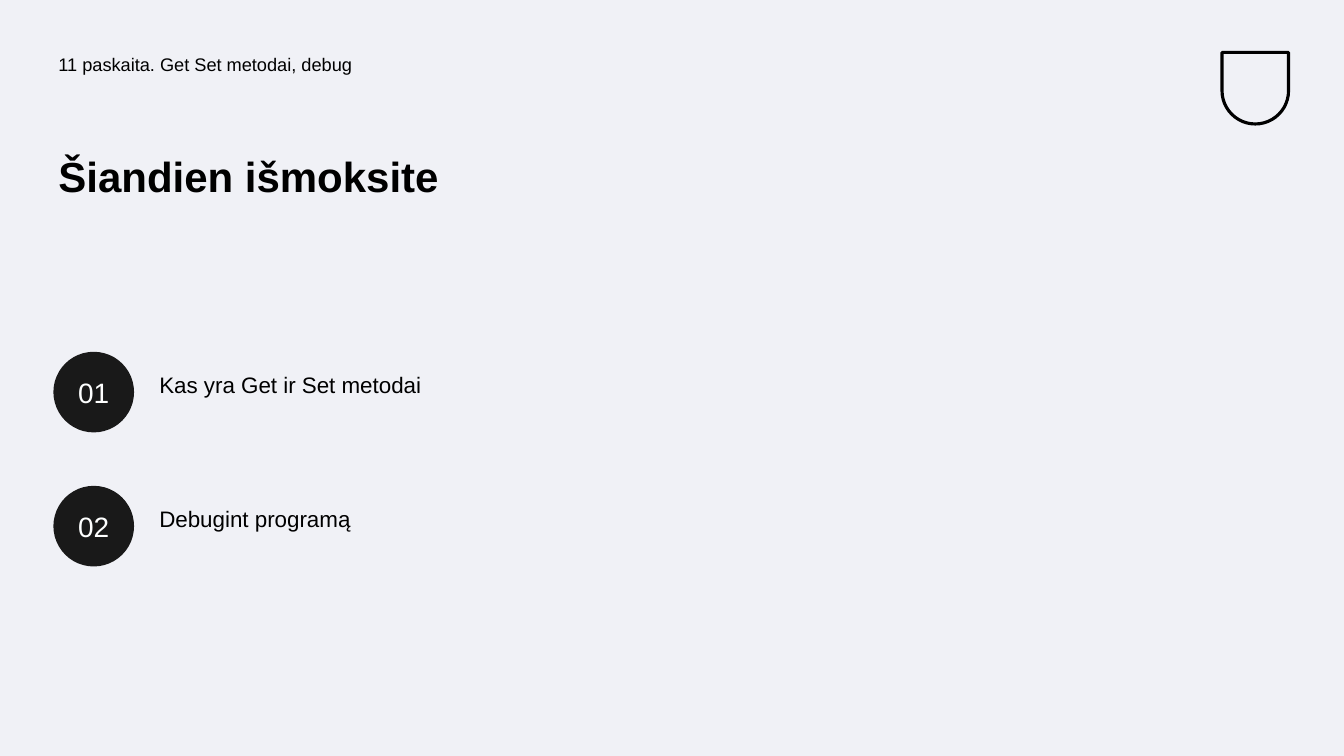
from pptx import Presentation
from pptx.dml.color import RGBColor
from pptx.enum.shapes import MSO_SHAPE
from pptx.enum.text import MSO_ANCHOR, MSO_AUTO_SIZE, PP_ALIGN
from pptx.util import Inches, Pt

OVAL, SHIELD = MSO_SHAPE.OVAL, MSO_SHAPE.ROUND_2_SAME_RECTANGLE
TOP, MIDDLE = MSO_ANCHOR.TOP, MSO_ANCHOR.MIDDLE
LEFT, CENTER = PP_ALIGN.LEFT, PP_ALIGN.CENTER
NO_FIT = MSO_AUTO_SIZE.NONE

BACKGROUND = RGBColor(0xF0, 0xF1, 0xF6)
BLACK = RGBColor(0x00, 0x00, 0x00)
DISC = RGBColor(0x19, 0x19, 0x19)
WHITE = RGBColor(0xFE, 0xFF, 0xFF)

FONT = "Arial"
MARGIN = 0.53
DISC_SIZE = 0.8
ROW_TOP, ROW_PITCH = 3.49, 1.33
TOPICS = ["Kas yra Get\u00a0ir\u00a0Set metodai".replace("\u00a0", " "), "Debugint programą"]


def place(sp, left, top, width, height):
    """Move a shape to a box given in inches."""
    sp.left, sp.top = Inches(left), Inches(top)
    sp.width, sp.height = Inches(width), Inches(height)


def write(sp, text, size, color=BLACK, bold=False, align=LEFT, anchor=TOP, spacing=0.9, before=0):
    """Fill a shape with one formatted paragraph."""
    tf = sp.text_frame
    tf.word_wrap, tf.auto_size, tf.vertical_anchor = True, NO_FIT, anchor
    tf.margin_left = tf.margin_right = tf.margin_top = tf.margin_bottom = Inches(0.05)
    p = tf.paragraphs[0]
    p.text = text
    p.alignment, p.line_spacing, p.space_before = align, spacing, Pt(before)
    p.font.name, p.font.size, p.font.bold = FONT, Pt(size), bold
    p.font.color.rgb = color


def add_header(s, left, top, width, height):
    """Add the lecture line and the emblem shape at the right."""
    sp = s.shapes.add_textbox(0, 0, 0, 0)
    place(sp, left, top, width / 2, height)
    write(sp, "11 paskaita. Get Set metodai, debug", 13, before=10)

    emblem = s.shapes.add_shape(SHIELD, 0, 0, 0, 0)
    place(emblem, left + width - 0.69, top + 0.02, 0.66, 0.71)
    emblem.adjustments[0] = 0.5
    emblem.rotation = 180
    emblem.shadow.inherit = False
    emblem.fill.background()
    emblem.line.color.rgb = BLACK
    emblem.line.width = Pt(2.25)


def add_topic(s, body, number, text, left, top, width):
    """Add one numbered disc with its topic beside it."""
    disc = s.shapes.add_shape(OVAL, 0, 0, 0, 0)
    place(disc, left, top, DISC_SIZE, DISC_SIZE)
    disc.shadow.inherit = False
    disc.fill.solid()
    disc.fill.fore_color.rgb = DISC
    disc.line.fill.background()
    write(disc, f"{number:02d}", 20, WHITE, align=CENTER, anchor=MIDDLE, spacing=1.0)

    place(body, left + 1, top + 0.17, width - 1, 0.45)
    write(body, text, 16, before=10)


def build_agenda(prs):
    """Build the slide listing what the lecture teaches."""
    s = prs.slides.add_slide(prs.slide_layouts.get_by_name("Comparison"))
    s.background.fill.solid()
    s.background.fill.fore_color.rgb = BACKGROUND
    holders = {ph.placeholder_format.idx: ph for ph in s.placeholders}

    add_header(s, MARGIN, 0.5, 12.28, 0.5)
    place(holders[0], MARGIN, 1.5, 5.64, 1.49)
    write(holders[0], "Šiandien išmoksite", 30, bold=True)
    for i, (idx, text) in enumerate(zip((1, 3), TOPICS)):
        add_topic(s, holders[idx], i + 1, text, MARGIN, ROW_TOP + i * ROW_PITCH, 5.63)
    for idx in (2, 4):
        sp = holders[idx].element
        sp.getparent().remove(sp)


def main():
    """Create and save the presentation."""
    prs = Presentation()
    prs.slide_width, prs.slide_height = Inches(13.33), Inches(7.5)
    build_agenda(prs)
    prs.save("out.pptx")


if __name__ == "__main__":
    main()
